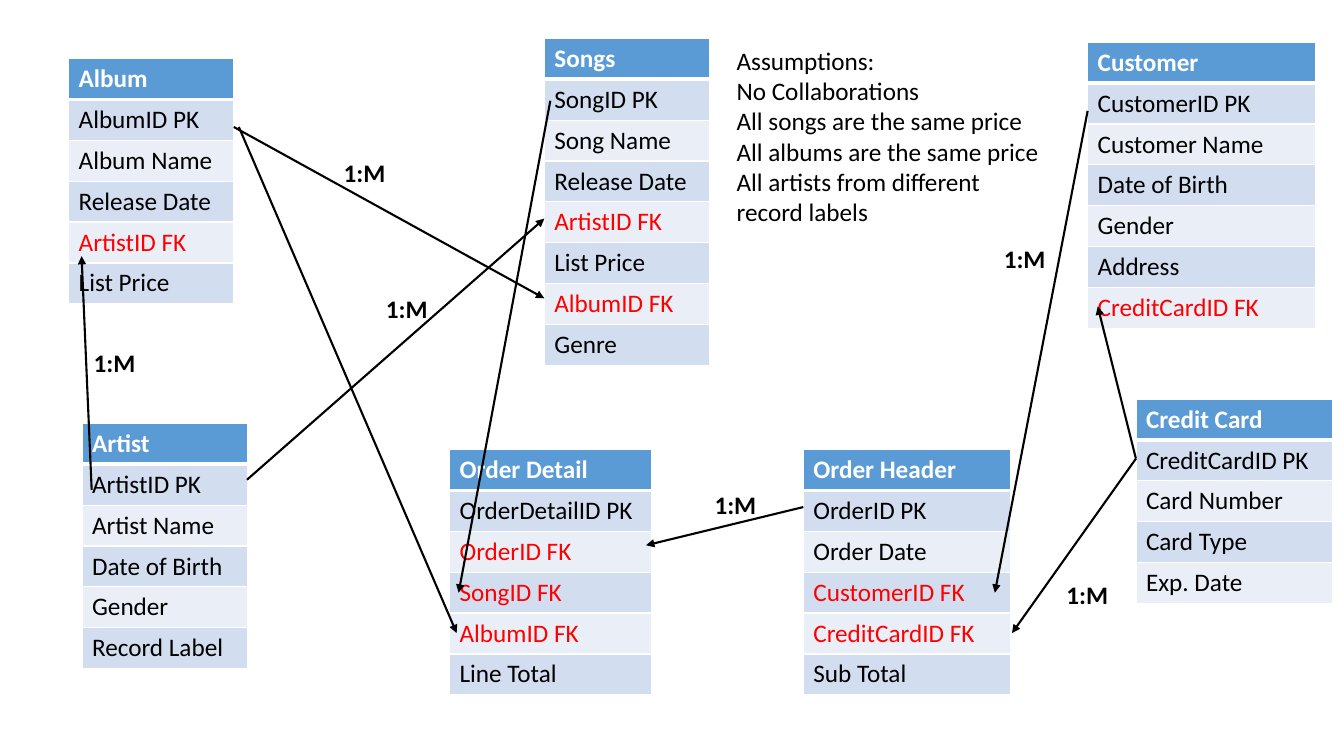
"""Builds a music store data model slide with tables, relationships and assumptions."""
import dataclasses

import lxml.etree
import pptx
import pptx.dml.color
import pptx.enum.shapes
import pptx.enum.text
import pptx.oxml.ns
import pptx.util

Pt = pptx.util.Pt
qn = pptx.oxml.ns.qn


@dataclasses.dataclass(frozen=True)
class Theme:
    font: str = "Calibri"
    size: float = 18
    white: str = "FFFFFF"
    black: str = "000000"
    key: str = "FF0000"
    header: str = "5B9BD5"
    bands: tuple = ("D2DEEF", "EAEFF7")
    row: float = 29.2
    line: float = 1.5


THEME = Theme()

ENTITIES = [
    (49, 41.8, 118, ["Album", "AlbumID PK", "Album Name", "Release Date",
                     "ArtistID FK", "List Price"]),
    (388.8, 27.4, 118, ["Songs", "SongID PK", "Song Name", "Release Date",
                        "ArtistID FK", "List Price", "AlbumID FK", "Genre"]),
    (58.6, 302.4, 118, ["Artist", "ArtistID PK", "Artist Name", "Date of Birth",
                        "Gender", "Record Label"]),
    (776.9, 30.2, 162.7, ["Customer", "CustomerID PK", "Customer Name", "Date of Birth",
                          "Gender", "Address", "CreditCardID FK"]),
    (321.1, 321.1, 144, ["Order Detail", "OrderDetailID PK", "OrderID FK", "SongID FK",
                         "AlbumID FK", "Line Total"]),
    (573.8, 321.1, 148.3, ["Order Header", "OrderID PK", "Order Date", "CustomerID FK",
                           "CreditCardID FK", "Sub Total"]),
    (811.4, 285.1, 140.4, ["Credit Card", "CreditCardID PK", "Card Number", "Card Type",
                           "Exp. Date"]),
]

RELATIONS = [
    (167, 90.7, 388.8, 213.1),
    (176.4, 342.7, 388.8, 156.2),
    (65.5, 349.9, 58.3, 182.9),
    (393.1, 72, 327.6, 423.4),
    (170.6, 90.7, 326.2, 452.2),
    (573.8, 362.2, 461.5, 389.5),
    (776.9, 79.2, 710.6, 423.4),
    (811.4, 327.6, 722.9, 452.2),
    (811.4, 327.6, 784.1, 218.9),
]

CARDINALITIES = [(268.6, 205.9), (238.3, 108.7), (503.3, 346.3),
                 (709.9, 170.6), (754.6, 410.4)]

ASSUMPTIONS = [
    "Assumptions:",
    "No Collaborations",
    "All songs are the same price",
    "All albums are the same price",
    "All artists from different record labels",
]


def rgb(value):
    return pptx.dml.color.RGBColor.from_string(value)


def write(p, text, color=THEME.black, bold=False):
    r = p.add_run()
    r.text = text
    r.font.name = THEME.font
    r.font.size = Pt(THEME.size)
    r.font.bold = bold
    r.font.color.rgb = rgb(color)


def add_borders(cell, bottom):
    tc_pr = cell._tc.get_or_add_tcPr()
    for tag, width in (("a:lnL", 1), ("a:lnR", 1), ("a:lnT", 1), ("a:lnB", bottom)):
        ln = lxml.etree.SubElement(tc_pr, qn(tag), w=str(Pt(width)))
        fill = lxml.etree.SubElement(ln, qn("a:solidFill"))
        lxml.etree.SubElement(fill, qn("a:srgbClr"), val=THEME.white)


def add_entity(s, x, y, width, names):
    height = THEME.row * len(names)
    table = s.shapes.add_table(len(names), 1, Pt(x), Pt(y), Pt(width), Pt(height)).table
    for i, name in enumerate(names):
        table.rows[i].height = Pt(THEME.row)
        cell = table.cell(i, 0)
        header = i == 0
        add_borders(cell, 3 if header else 1)
        cell.fill.solid()
        cell.fill.fore_color.rgb = rgb(THEME.header if header else THEME.bands[(i - 1) % 2])
        body = THEME.key if name.endswith(" FK") else THEME.black
        write(cell.text_frame.paragraphs[0], name,
              color=THEME.white if header else body, bold=header)


def add_arrow(s, x1, y1, x2, y2):
    sp = s.shapes.add_connector(pptx.enum.shapes.MSO_CONNECTOR.STRAIGHT,
                                Pt(x1), Pt(y1), Pt(x2), Pt(y2))
    sp.line.color.rgb = rgb(THEME.black)
    sp.line.width = Pt(THEME.line)
    lxml.etree.SubElement(sp.line._get_or_add_ln(), qn("a:tailEnd"), type="triangle")
    lxml.etree.SubElement(sp._element.spPr, qn("a:effectLst"))


def add_text(s, x, y, width, height, lines, wrap=True, bold=False):
    tf = s.shapes.add_textbox(Pt(x), Pt(y), Pt(width), Pt(height)).text_frame
    tf.word_wrap = wrap
    tf.auto_size = pptx.enum.text.MSO_AUTO_SIZE.SHAPE_TO_FIT_TEXT
    for i, line in enumerate(lines):
        p = tf.add_paragraph() if i else tf.paragraphs[0]
        write(p, line, bold=bold)


def main():
    prs = pptx.Presentation()
    prs.slide_width, prs.slide_height = Pt(960), Pt(540)
    s = prs.slides.add_slide(prs.slide_layouts[6])
    for entity in ENTITIES:
        add_entity(s, *entity)
    for relation in RELATIONS:
        add_arrow(s, *relation)
    add_text(s, 59.8, 244.8, 51.1, 29.2, ["1:M"], bold=True)
    for x, y in CARDINALITIES:
        add_text(s, x, y, 44.6, 29.2, ["1:M"], wrap=False, bold=True)
    add_text(s, 519.1, 28.8, 233.3, 138.2, ASSUMPTIONS)
    prs.save("out.pptx")


if __name__ == "__main__":
    main()
